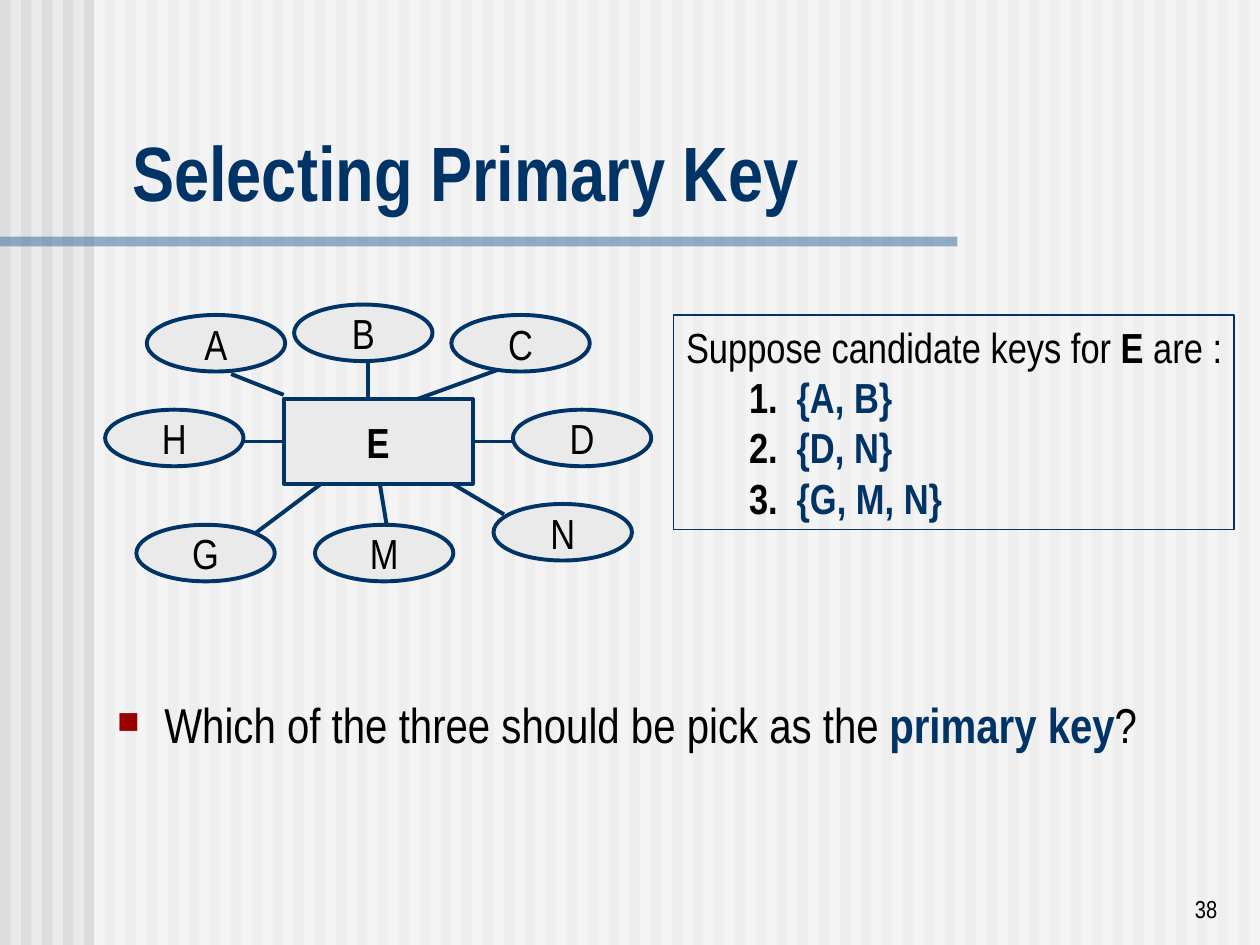
"""Build the "Selecting Primary Key" slide with its entity diagram."""
from lxml.etree import SubElement
from pptx import Presentation
from pptx.dml.color import RGBColor
from pptx.enum.shapes import MSO_CONNECTOR as Link, MSO_SHAPE as Preset
from pptx.enum.text import MSO_ANCHOR as Anchor, MSO_AUTO_SIZE as AutoSize, PP_ALIGN as Align
from pptx.oxml.ns import qn
from pptx.util import Cm, Pt

THEME = {
    "font": "Arial Narrow",
    "page": "EAEAEA", "stripe": "DDDDDD", "veil": "FFFFFF", "rule": "336699",
    "navy": "003366", "text": "000000", "bullet": "9A0000",
    "title": 44, "body": 28, "label": 24, "number": 14,
    "outline": 2.25, "frame": 0.75,
}

PAGE_SIZE = (25.4, 19.05)
STRIPE_COUNT = 60
TITLE = [("Selecting Primary Key", "navy", True)]
QUESTION = [("Which of the three should be pick as the ", "text", False),
            ("primary key", "navy", True), ("?", "text", False)]
INTRO = [("Suppose candidate keys for ", "text", False), ("E ", "text", True),
         ("are :", "text", False)]
CANDIDATE_KEYS = ["{A, B}", "{D, N}", "{G, M, N}"]
PAGE_NUMBER = [("38", "text", False)]

ENTITY = ("E", (5.72, 8.05, 3.81, 1.7))
ATTRIBUTE_SIZE = (2.79, 1.14)
ATTRIBUTES = {
    "A": (2.96, 6.35), "B": (5.93, 6.14), "C": (9.1, 6.35), "D": (10.34, 8.26),
    "N": (9.95, 10.16), "M": (6.35, 10.58), "G": (2.75, 10.58), "H": (2.12, 8.26),
}
SPOKES = [
    ((4.66, 7.54), (5.72, 7.96)), ((7.41, 7.2), (7.41, 8.05)),
    ((10.16, 7.41), (8.04, 8.18)), ((10.16, 10.37), (9.1, 9.74)),
    ((7.83, 10.8), (7.62, 9.53)), ((5.08, 10.8), (6.77, 9.53)),
]
SIDE_SPOKES = [((4.87, 8.9), 1), ((10.37, 8.9), 3)]


def color(name):
    return RGBColor.from_string(THEME[name])


def lengths(*values):
    return [Cm(value) for value in values]


def apply(target, values):
    for name, value in values.items():
        setattr(target, name, value)


def write(para, spans, size, **layout):
    apply(para, {"space_before": Pt(0), "alignment": Align.LEFT, **layout})
    for text, shade, bold in spans:
        span = para.add_run()
        span.text = text
        apply(span.font, {"name": THEME["font"], "size": Pt(THEME[size]), "bold": bold})
        span.font.color.rgb = color(shade)


def add_box(slide, preset, place, fill=None, line=None, width="outline", opacity=None):
    box = slide.shapes.add_shape(preset, *lengths(*place))
    box.shadow.inherit = False
    if fill:
        box.fill.solid()
        box.fill.fore_color.rgb = color(fill)
    else:
        box.fill.background()
    if line:
        box.line.color.rgb = color(line)
        box.line.width = Pt(THEME[width])
    else:
        box.line.fill.background()
    if opacity:
        shade = box.fill._xPr.find(f".//{qn('a:srgbClr')}")
        SubElement(shade, qn("a:alpha"), val=str(opacity * 1000))
    return box


def add_node(slide, preset, label, place, bold=False):
    node = add_box(slide, preset, place, "page", "navy")
    apply(node.text_frame, {"word_wrap": False, "vertical_anchor": Anchor.MIDDLE})
    write(node.text_frame.paragraphs[0], [(label, "text", bold)], "label",
          alignment=Align.CENTER)
    return node


def add_spoke(slide, start, end):
    spoke = slide.shapes.add_connector(Link.STRAIGHT, *lengths(*start, *end))
    spoke.line.color.rgb = color("navy")
    spoke.line.width = Pt(THEME["outline"])
    SubElement(spoke._element.spPr, qn("a:effectLst"))
    return spoke


def draw_backdrop(slide):
    width, height = PAGE_SIZE
    slide.background.fill.solid()
    slide.background.fill.fore_color.rgb = color("page")
    pitch = width / STRIPE_COUNT
    for index in range(STRIPE_COUNT):
        add_box(slide, Preset.RECTANGLE, (index * pitch, 0, pitch / 2, height), "stripe")
    add_box(slide, Preset.RECTANGLE, (1.9, 0, width - 1.9, height), "veil", opacity=50)
    add_box(slide, Preset.RECTANGLE, (0, 4.77, 19.3, 0.2), "rule", opacity=50)


def fill_placeholder(holder, place, anchor):
    apply(holder, dict(zip(("left", "top", "width", "height"), lengths(*place))))
    apply(holder.text_frame, {"word_wrap": True, "auto_size": AutoSize.NONE,
                              "vertical_anchor": anchor})
    return holder.text_frame.paragraphs[0]


def add_bullet(para):
    properties = para._p.get_or_add_pPr()
    properties.set("marL", str(Cm(0.95)))
    properties.set("indent", str(Cm(-0.95)))
    SubElement(SubElement(properties, qn("a:buClr")), qn("a:srgbClr"), val=THEME["bullet"])
    SubElement(properties, qn("a:buSzPct"), val="75000")
    SubElement(properties, qn("a:buFont"), typeface=THEME["font"])
    SubElement(properties, qn("a:buChar"), char="■")


def draw_diagram(slide):
    for start, end in SPOKES:
        add_spoke(slide, start, end)
    label, place = ENTITY
    entity = add_node(slide, Preset.RECTANGLE, label, place, bold=True)
    for start, side in SIDE_SPOKES:
        add_spoke(slide, start, start).end_connect(entity, side)
    for label, corner in ATTRIBUTES.items():
        add_node(slide, Preset.OVAL, label, corner + ATTRIBUTE_SIZE)


def draw_candidates(slide):
    box = add_box(slide, Preset.RECTANGLE, (13.58, 6.35, 11.3, 4.32), None, "navy", "frame")
    frame = box.text_frame
    apply(frame, {"word_wrap": False, "vertical_anchor": Anchor.TOP})
    write(frame.paragraphs[0], INTRO, "label")
    for number, key in enumerate(CANDIDATE_KEYS, 1):
        para = frame.add_paragraph()
        properties = para._p.get_or_add_pPr()
        properties.set("marL", str(Cm(2.23)))
        properties.set("indent", str(Cm(-0.96)))
        write(para, [(f"{number}.\t", "text", True), (key, "navy", True)], "label")


def main():
    deck = Presentation()
    deck.slide_width, deck.slide_height = lengths(*PAGE_SIZE)
    slide = deck.slides.add_slide(deck.slide_layouts[1])
    title, body = slide.placeholders
    draw_backdrop(slide)
    for holder in (title, body):
        slide.shapes._spTree.append(holder._element)
    write(fill_placeholder(title, (2.41, 2.39, 22.68, 2.11), Anchor.BOTTOM), TITLE, "title")
    question = fill_placeholder(body, (2.11, 13.87, 22.53, 2.34), Anchor.TOP)
    add_bullet(question)
    write(question, QUESTION, "body")
    draw_diagram(slide)
    draw_candidates(slide)
    number = slide.shapes.add_textbox(*lengths(19.51, 17.48, 5.28, 1.27)).text_frame
    apply(number, {"word_wrap": True, "vertical_anchor": Anchor.BOTTOM})
    write(number.paragraphs[0], PAGE_NUMBER, "number", alignment=Align.RIGHT)
    deck.save("out.pptx")


if __name__ == "__main__":
    main()
